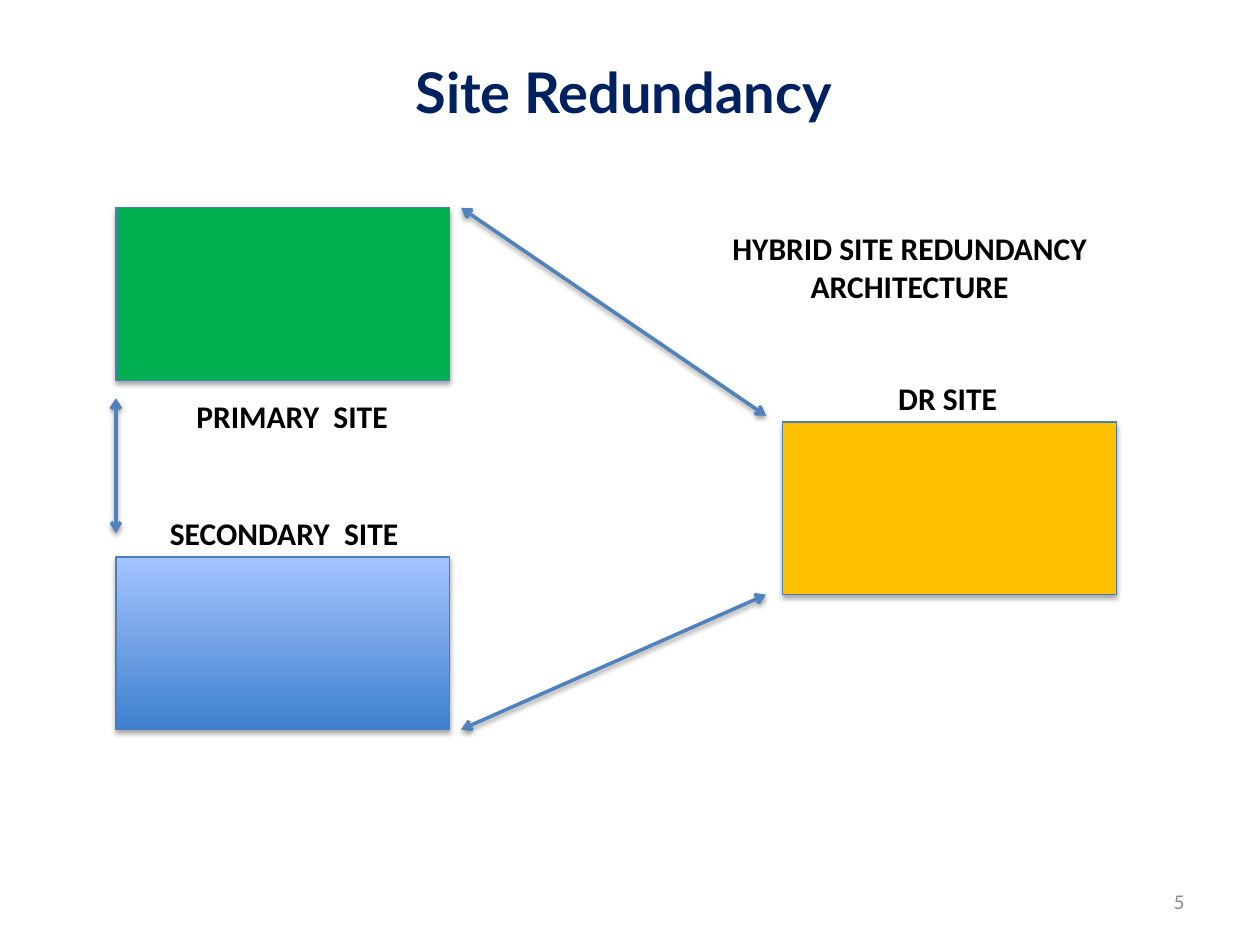
from lxml.etree import SubElement
from pptx import Presentation
from pptx.dml.color import RGBColor
from pptx.enum.shapes import MSO_CONNECTOR, MSO_SHAPE
from pptx.enum.text import MSO_ANCHOR, MSO_AUTO_SIZE, PP_ALIGN
from pptx.oxml.ns import qn
from pptx.util import Inches, Pt

NAVY = RGBColor(0x00, 0x20, 0x60)
BLACK = RGBColor(0x00, 0x00, 0x00)
GRAY = RGBColor(0x8C, 0x8C, 0x8C)
GREEN = RGBColor(0x00, 0xB0, 0x50)
AMBER = RGBColor(0xFF, 0xC0, 0x00)
BLUE_DARK = RGBColor(0x3F, 0x80, 0xCE)
BLUE_LIGHT = RGBColor(0xA4, 0xC4, 0xFF)
OUTLINE = RGBColor(0x4B, 0x7E, 0xBC)
ARROW = RGBColor(0x4F, 0x81, 0xBD)


def write(tf, text, size=18, font="Calibri", color=BLACK, bold=True,
          align=PP_ALIGN.LEFT):
    for i, line in enumerate(text.split("\n")):
        p = tf.paragraphs[0] if i == 0 else tf.add_paragraph()
        p.alignment = align
        r = p.add_run()
        r.text = line
        r.font.size, r.font.name, r.font.bold = Pt(size), font, bold
        r.font.color.rgb = color


def add_shadow(sp, distance, opacity):
    effects = SubElement(sp._element.spPr, qn("a:effectLst"))
    shadow = SubElement(effects, qn("a:outerShdw"), blurRad=str(Pt(3.1)),
                        dist=str(Pt(distance)), dir="5400000", rotWithShape="0")
    color = SubElement(shadow, qn("a:srgbClr"), val="000000")
    SubElement(color, qn("a:alpha"), val=str(opacity * 1000))


class SiteDiagram:
    box_w, box_h = 2.65, 1.37

    def __init__(self, slide):
        self.s = slide

    def text(self, x, y, w, h, text, wrap=False, **style):
        tf = self.s.shapes.add_textbox(
            Inches(x), Inches(y), Inches(w), Inches(h)).text_frame
        tf.word_wrap = wrap
        if wrap:
            tf.vertical_anchor = MSO_ANCHOR.MIDDLE
        else:
            tf.auto_size = MSO_AUTO_SIZE.SHAPE_TO_FIT_TEXT
        write(tf, text, **style)

    def site(self, x, y, *colors):
        sp = self.s.shapes.add_shape(MSO_SHAPE.RECTANGLE, Inches(x), Inches(y),
                                     Inches(self.box_w), Inches(self.box_h))
        if len(colors) == 1:
            sp.fill.solid()
            sp.fill.fore_color.rgb = colors[0]
        else:
            sp.fill.gradient()
            sp.fill.gradient_angle = 90
            for stop, color in zip(sp.fill.gradient_stops, colors):
                stop.color.rgb = color
        sp.line.color.rgb, sp.line.width = OUTLINE, Pt(0.75)
        add_shadow(sp, 1.8, 35)

    def link(self, x1, y1, x2, y2):
        sp = self.s.shapes.add_connector(MSO_CONNECTOR.STRAIGHT, Inches(x1),
                                         Inches(y1), Inches(x2), Inches(y2))
        sp.line.color.rgb, sp.line.width = ARROW, Pt(2)
        ln = sp.line._get_or_add_ln()
        for end in ("a:headEnd", "a:tailEnd"):
            SubElement(ln, qn(end), type="arrow")
        add_shadow(sp, 1.6, 38)


def main():
    prs = Presentation()
    prs.slide_width, prs.slide_height = Inches(10), Inches(7.5)
    d = SiteDiagram(prs.slides.add_slide(prs.slide_layouts[6]))

    # Title and slide number
    d.text(0.5, 0.23, 9, 0.98, "Site Redundancy ", wrap=True, size=32,
           font="Lato", color=NAVY, align=PP_ALIGN.CENTER)
    d.text(7.17, 6.95, 2.33, 0.4, "5", wrap=True, size=12, color=GRAY,
           bold=False, align=PP_ALIGN.RIGHT)

    # Sites
    left, primary_y, secondary_y = 0.92, 1.65, 4.42
    dr_x, dr_y = 6.21, 3.35
    d.site(left, primary_y, GREEN)
    d.site(left, secondary_y, BLUE_DARK, BLUE_LIGHT)
    d.site(dr_x, dr_y, AMBER)

    # Site labels
    d.text(7.03, 2.96, 0.99, 0.4, "DR SITE")
    d.text(1.25, 4.03, 2.03, 0.4, "SECONDARY  SITE")
    d.text(1.46, 3.1, 1.74, 0.4, "PRIMARY  SITE")

    # Links between the sites
    link_x, dr_link_x = 3.66, 6.08
    d.link(link_x, primary_y, dr_link_x, 3.3)
    d.link(link_x, secondary_y + d.box_h, dr_link_x, dr_y + d.box_h)
    d.link(left, 3.16, left, 4.23)

    # Caption
    d.text(5.7, 1.77, 3.04, 0.71, "HYBRID SITE REDUNDANCY\nARCHITECTURE",
           align=PP_ALIGN.CENTER)

    prs.save("out.pptx")


if __name__ == "__main__":
    main()
